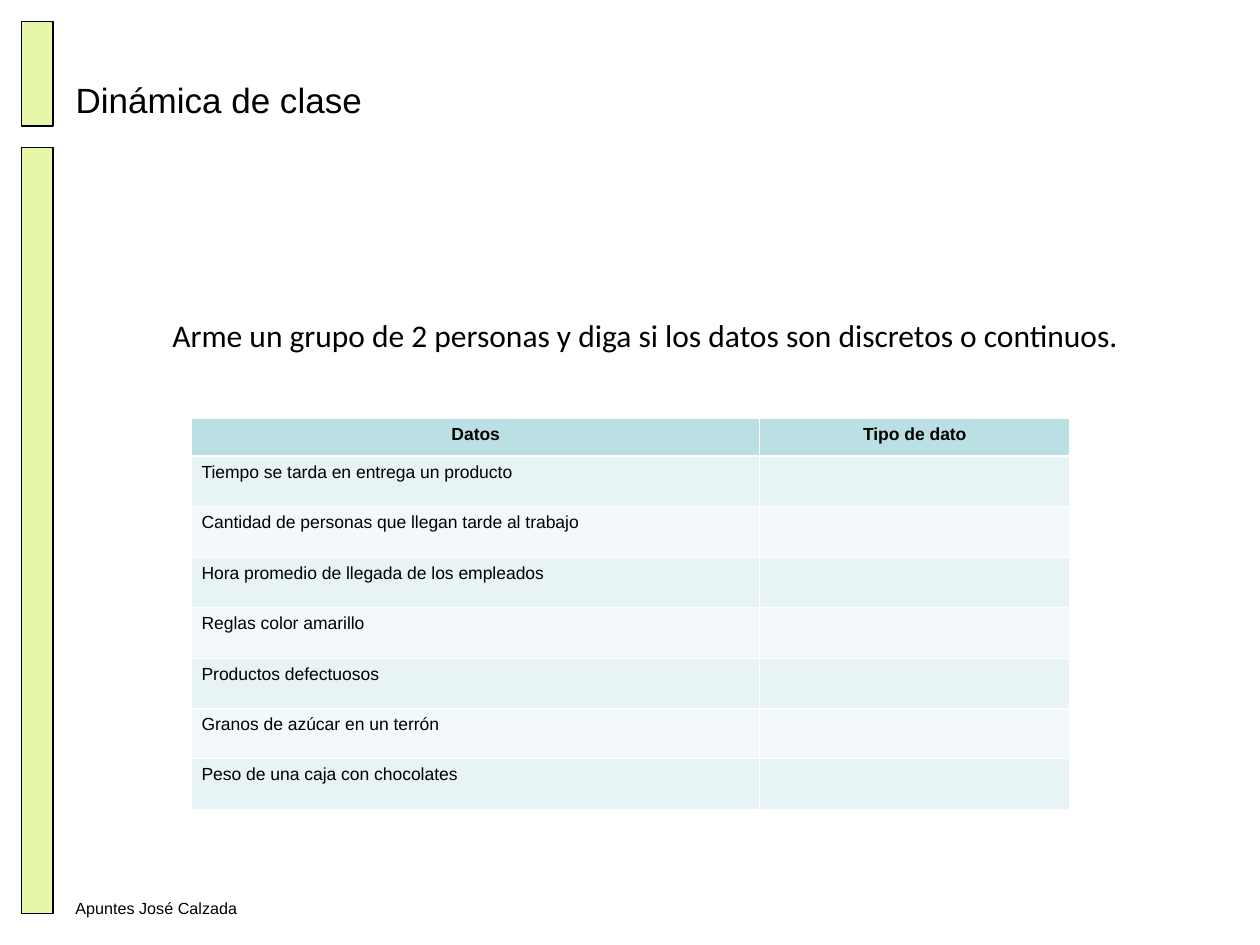
from dataclasses import dataclass

from lxml.etree import SubElement
from pptx import Presentation
from pptx.dml.color import RGBColor
from pptx.enum.shapes import MSO_SHAPE
from pptx.enum.text import MSO_ANCHOR, PP_ALIGN
from pptx.oxml.ns import qn
from pptx.util import Inches, Pt


@dataclass(frozen=True)
class Theme:
    """Colours, fonts and type sizes of the slide."""
    ink: str = "000000"
    bar: str = "E6F7A7"
    header: str = "BBE0E3"
    bands: tuple = ("E7F3F4", "F3F9FA")
    border: str = "FFFFFF"
    font: str = "Arial"
    body_font: str = "Calibri"
    title_size: float = 20
    body_size: float = 18
    table_size: float = 10
    footer_size: float = 9.2
    thin: float = 0.45
    thick: float = 1.47


class Deck:
    """Holds the theme and the current slide, and adds elements to it."""

    def __init__(self, prs, theme):
        self.theme = theme
        self.s = prs.slides.add_slide(prs.slide_layouts[5])

    def run(self, p, text, size, font=None, bold=False):
        """Add one styled run to a paragraph."""
        r = p.add_run()
        r.text = text
        r.font.size = Pt(size)
        r.font.name = font or self.theme.font
        r.font.bold = bold
        r.font.color.rgb = RGBColor.from_string(self.theme.ink)

    def bar(self, x, y, w, h):
        """Add an outlined side bar."""
        sp = self.s.shapes.add_shape(MSO_SHAPE.RECTANGLE, x, y, w, h)
        sp.shadow.inherit = False
        sp.fill.solid()
        sp.fill.fore_color.rgb = RGBColor.from_string(self.theme.bar)
        sp.line.color.rgb = RGBColor.from_string(self.theme.ink)
        sp.line.width = Pt(0.75)

    def title(self, text, x, y, w, h):
        """Place and fill the title placeholder."""
        sp = self.s.shapes.title
        sp.left, sp.top, sp.width, sp.height = x, y, w, h
        tf = sp.text_frame
        tf.vertical_anchor = MSO_ANCHOR.MIDDLE
        p = tf.paragraphs[0]
        p.alignment = PP_ALIGN.LEFT
        self.run(p, text, self.theme.title_size)

    def text(self, text, x, y, w, h, size, font=None):
        """Add a wrapped text box."""
        tf = self.s.shapes.add_textbox(x, y, w, h).text_frame
        tf.word_wrap = True
        self.run(tf.paragraphs[0], text, size, font)

    def borders(self, cell, top, bottom):
        """Draw the four borders of a cell."""
        tcPr = cell._tc.get_or_add_tcPr()
        widths = {"L": self.theme.thin, "R": self.theme.thin, "T": top, "B": bottom}
        for i, (side, width) in enumerate(widths.items()):
            ln = SubElement(tcPr, qn(f"a:ln{side}"), w=str(Pt(width)))
            fill = SubElement(ln, qn("a:solidFill"))
            SubElement(fill, qn("a:srgbClr"), val=self.theme.border)
            tcPr.insert(i, ln)

    def table(self, rows, x, y, col_widths, row_height):
        """Add a banded table with a bold centred header."""
        t = self.theme
        tbl = self.s.shapes.add_table(len(rows), len(col_widths), x, y,
                                      sum(col_widths), row_height * len(rows)).table
        for col, width in zip(tbl.columns, col_widths):
            col.width = width
        for i, row in enumerate(rows):
            tbl.rows[i].height = row_height
            head = i == 0
            color = t.header if head else t.bands[(i - 1) % 2]
            for j, value in enumerate(row):
                cell = tbl.cell(i, j)
                cell.margin_left = cell.margin_right = Inches(0.08)
                cell.fill.solid()
                cell.fill.fore_color.rgb = RGBColor.from_string(color)
                self.borders(cell, t.thick if i == 1 else t.thin,
                             t.thick if head else t.thin)
                if value:
                    p = cell.text_frame.paragraphs[0]
                    p.alignment = PP_ALIGN.CENTER if head else PP_ALIGN.LEFT
                    self.run(p, value, t.table_size, bold=head)


DATOS = [
    "Tiempo se tarda en entrega un producto",
    "Cantidad de personas que llegan tarde al trabajo",
    "Hora promedio de llegada de los empleados",
    "Reglas color amarillo",
    "Productos defectuosos",
    "Granos de azúcar en un terrón",
    "Peso de una caja con chocolates",
]


def main():
    """Build the slide and save it."""
    prs = Presentation()
    prs.slide_width, prs.slide_height = Inches(10), Inches(7.5)
    theme = Theme()
    deck = Deck(prs, theme)
    for top, height in ((1.17, 6.08), (0.17, 0.83)):
        deck.bar(Inches(0.17), Inches(top), Inches(0.25), Inches(height))
    deck.text("Apuntes José Calzada", Inches(0.5), Inches(7.08),
              Inches(2.33), Inches(0.27), theme.footer_size)
    deck.title("Dinámica de clase", Inches(0.5), Inches(0.4), Inches(9), Inches(0.78))
    deck.text("Arme un grupo de 2 personas y diga si los datos son discretos o continuos.",
              Inches(1.27), Inches(2.46), Inches(8.04), Inches(0.4),
              theme.body_size, theme.body_font)
    rows = [("Datos", "Tipo de dato")] + [(dato, "") for dato in DATOS]
    deck.table(rows, Inches(1.52), Inches(3.32), (Inches(4.51), Inches(2.46)), Inches(0.3))
    prs.save("out.pptx")


if __name__ == "__main__":
    main()
